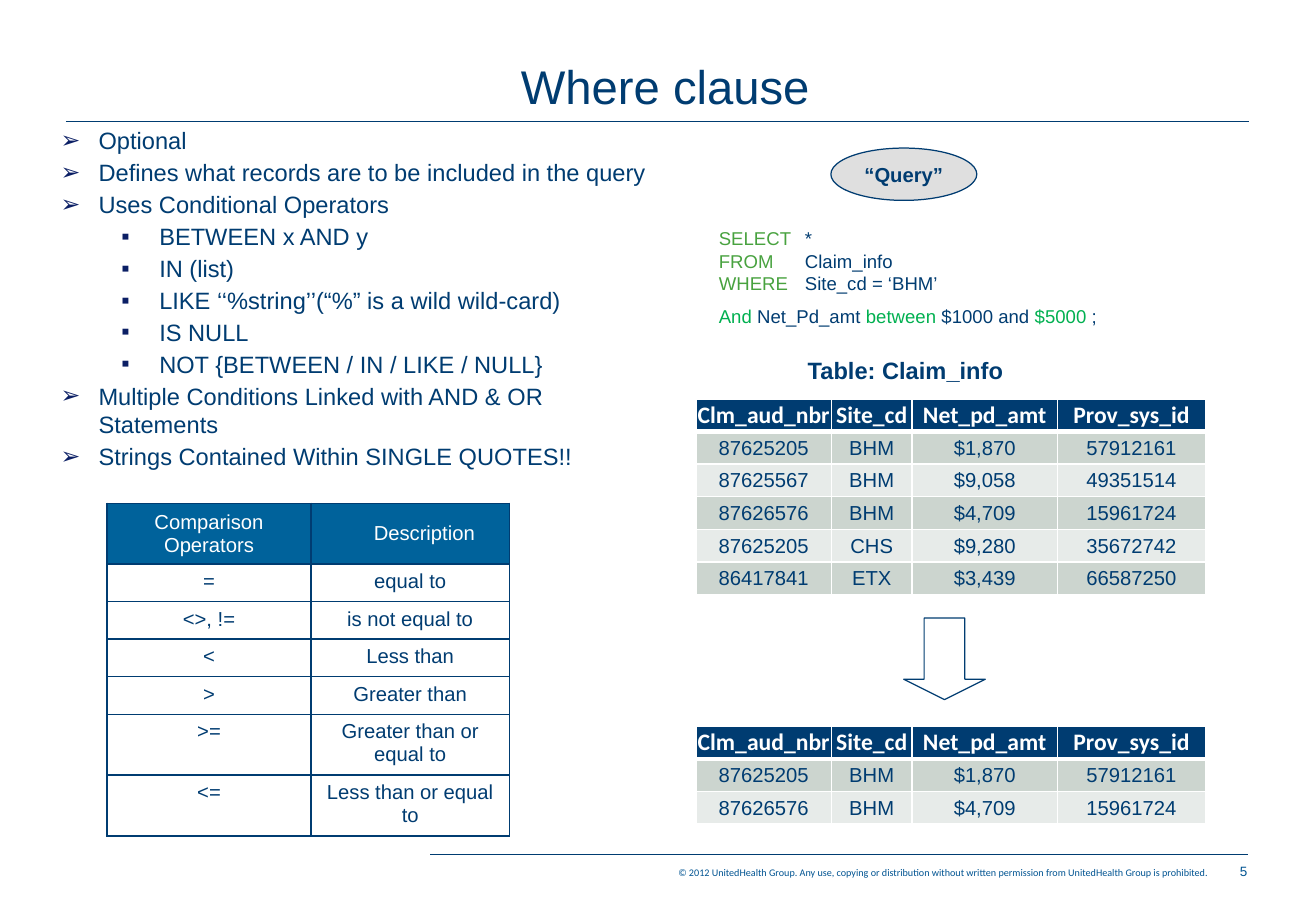
from lxml.etree import SubElement
from pptx import Presentation
from pptx.dml.color import RGBColor
from pptx.enum.shapes import MSO_CONNECTOR, MSO_SHAPE
from pptx.enum.text import MSO_ANCHOR, MSO_AUTO_SIZE, PP_ALIGN
from pptx.oxml import parse_xml
from pptx.oxml.ns import nsdecls, qn
from pptx.util import Pt

NAVY = "003C71"
BLUE = "005492"
WHITE = "FFFFFF"
GREEN = "48A23F"
BRIGHT_GREEN = "00B050"

BULLETS = [
    (0, "Optional"),
    (0, "Defines what records are to be included in the query"),
    (0, "Uses Conditional Operators"),
    (1, "BETWEEN x AND y"),
    (1, "IN (list)"),
    (1, "LIKE ‘‘%string’’(“%” is a wild wild-card)"),
    (1, "IS NULL"),
    (1, "NOT {BETWEEN / IN / LIKE / NULL}"),
    (0, "Multiple Conditions Linked with AND & OR Statements"),
    (0, "Strings Contained Within SINGLE QUOTES!!"),
]
OPERATORS = [
    ("Comparison Operators", "Description"),
    ("=", "equal to"),
    ("<>, !=", "is not equal to"),
    ("<", "Less than"),
    (">", "Greater than"),
    (">=", "Greater than or equal to"),
    ("<=", "Less than or equal to"),
]
CLAIM_HEADER = ("Clm_aud_nbr", "Site_cd", "Net_pd_amt", "Prov_sys_id")
CLAIMS = [
    ("87625205", "BHM", "$1,870", "57912161"),
    ("87625567", "BHM", "$9,058", "49351514"),
    ("87626576", "BHM", "$4,709", "15961724"),
    ("87625205", "CHS", "$9,280", "35672742"),
    ("86417841", "ETX", "$3,439", "66587250"),
]
MATCHES = [CLAIMS[0], CLAIMS[2]]
QUERY = [
    [("SELECT", GREEN), ("\t*\n", NAVY), ("FROM", GREEN), ("\tClaim_info\n", NAVY),
     ("WHERE", GREEN), ("\tSite_cd = ‘BHM’", NAVY)],
    [("And ", BRIGHT_GREEN), ("Net_Pd_amt ", NAVY), ("between ", BRIGHT_GREEN),
     ("$1000 and ", NAVY), ("$5000", BRIGHT_GREEN), (" ;", NAVY)],
]


def color(value):
    return RGBColor.from_string(value)


def points(*lengths):
    return [Pt(length) for length in lengths]


def write(paragraph, text, size=12, fill=NAVY, font="Arial", bold=False, align=PP_ALIGN.LEFT):
    paragraph.alignment = align
    run = paragraph.add_run()
    run.text = text.rstrip("\n")
    run.font.size = Pt(size)
    run.font.name = font
    run.font.bold = bold
    run.font.color.rgb = color(fill)
    if text.endswith("\n"):
        paragraph.add_line_break()


def next_paragraph(frame, index, before):
    if index == 0:
        return frame.paragraphs[0]
    paragraph = frame.add_paragraph()
    paragraph.space_before = Pt(before)
    return paragraph


def add_frame(slide, box, wrap=True, margin=None):
    frame = slide.shapes.add_textbox(*points(*box)).text_frame
    frame.word_wrap = wrap
    if margin is not None:
        frame.margin_left = frame.margin_right = Pt(margin)
        frame.margin_top = frame.margin_bottom = Pt(margin)
    return frame


def add_rule(slide, left, right, top):
    line = slide.shapes.add_connector(MSO_CONNECTOR.STRAIGHT, *points(left, top, right, top))
    line.line.color.rgb = color(NAVY)
    line.line.width = Pt(0.5)
    SubElement(line.element.spPr, qn("a:effectLst"))


def add_outlined_shape(slide, kind, box):
    shape = slide.shapes.add_shape(kind, *points(*box))
    shape.shadow.inherit = False
    shape.line.color.rgb = color(NAVY)
    shape.line.width = Pt(0.75)
    shape.fill.background()
    return shape


def format_cell(cell, fill, border, bottom=1):
    cell.fill.solid()
    cell.fill.fore_color.rgb = color(fill)
    properties = cell._tc.get_or_add_tcPr()
    for index, side in enumerate("LRTB"):
        width = Pt(bottom if side == "B" else 1)
        properties.insert(index, parse_xml(
            f'<a:ln{side} {nsdecls("a")} w="{width}"><a:solidFill>'
            f'<a:srgbClr val="{border}"/></a:solidFill></a:ln{side}>'))


def add_grid(slide, left, top, widths, heights):
    frame = slide.shapes.add_table(
        len(heights), len(widths), *points(left, top, sum(widths), sum(heights)))
    for column, width in zip(frame.table.columns, widths):
        column.width = Pt(width)
    for row, height in zip(frame.table.rows, heights):
        row.height = Pt(height)
    return frame.table


def add_heading(slide, box):
    left, top, width, height = box
    title = slide.shapes.title
    title.left, title.top, title.width, title.height = points(*box)
    frame = title.text_frame
    frame.auto_size = MSO_AUTO_SIZE.NONE
    frame.vertical_anchor = MSO_ANCHOR.BOTTOM
    write(frame.paragraphs[0], "Where clause", size=28, align=PP_ALIGN.CENTER)
    add_rule(slide, left - 1.3, left + width - 8, top + height + 0.7)


def add_bullets(slide, box):
    frame = add_frame(slide, box)
    for index, (level, text) in enumerate(BULLETS):
        paragraph = next_paragraph(frame, index, before=2.1)
        paragraph.level = level
        properties = paragraph._p.get_or_add_pPr()
        properties.set("marL", str(Pt(22.5 + 36 * level)))
        properties.set("indent", str(Pt(-22.5)))
        SubElement(SubElement(properties, qn("a:buClr")), qn("a:srgbClr"), val="0B1F65")
        SubElement(properties, qn("a:buFont"), typeface="Arial")
        SubElement(properties, qn("a:buChar"), char="➢▪"[level])
        write(paragraph, text, size=14)


def add_operator_table(slide, left, top):
    table = add_grid(slide, left, top, [121, 117.5], [36] + [22.3] * 4 + [36] * 2)
    for row, texts in enumerate(OPERATORS):
        for column, text in enumerate(texts):
            cell = table.cell(row, column)
            format_cell(cell, WHITE if row else "00629B", NAVY)
            paragraph = cell.text_frame.paragraphs[0]
            write(paragraph, text, fill=NAVY if row else WHITE, align=PP_ALIGN.CENTER)
            if row == 0:
                cell.vertical_anchor = MSO_ANCHOR.MIDDLE
    table.cell(0, 1).margin_left = Pt(24)


def add_claim_table(slide, left, top, claims):
    table = add_grid(slide, left, top, [80, 48, 86, 88], [19.35] * (len(claims) + 1))
    for row, texts in enumerate([CLAIM_HEADER] + claims):
        for column, text in enumerate(texts):
            cell = table.cell(row, column)
            cell.vertical_anchor = MSO_ANCHOR.MIDDLE
            cell.margin_left = cell.margin_right = cell.margin_top = Pt(0.5)
            cell.margin_bottom = Pt(0)
            paragraph = cell.text_frame.paragraphs[0]
            if row == 0:
                format_cell(cell, NAVY, WHITE, bottom=3)
                write(paragraph, text, size=14, fill=WHITE, font="Calibri", bold=True,
                      align=PP_ALIGN.CENTER)
            else:
                format_cell(cell, "CCD5CF" if row % 2 else "E7EBE9", WHITE)
                write(paragraph, text, align=PP_ALIGN.CENTER)


def add_query(slide, box):
    left, top, width, height = box
    ellipse = add_outlined_shape(slide, MSO_SHAPE.OVAL, (left + 73.5, top, 86.5, 31))
    ellipse.fill.solid()
    ellipse.fill.fore_color.rgb = color("C0C0C0")
    gray = ellipse.element.spPr.find(qn("a:solidFill")).find(qn("a:srgbClr"))
    SubElement(gray, qn("a:alpha"), val="50000")
    ellipse.text_frame.word_wrap = False
    ellipse.text_frame.vertical_anchor = MSO_ANCHOR.MIDDLE
    write(ellipse.text_frame.paragraphs[0], "“Query”", bold=True, align=PP_ALIGN.CENTER)
    frame = add_frame(slide, (left, top + 43.5, width, height - 43.5))
    for index, runs in enumerate(QUERY):
        paragraph = next_paragraph(frame, index, before=6.3)
        if index == 0:
            tabs = SubElement(paragraph._p.get_or_add_pPr(), qn("a:tabLst"))
            SubElement(tabs, qn("a:tab"), pos=str(Pt(51)), algn="l")
        for text, fill in runs:
            write(paragraph, text, size=11, fill=fill)


def add_result(slide, left, top):
    caption = add_frame(slide, (left + 57, top, 134, 24.5), wrap=False)
    write(caption.paragraphs[0], "Table: Claim_info", size=14, bold=True, align=PP_ALIGN.CENTER)
    add_claim_table(slide, left, top + 29, CLAIMS)
    arrow = add_outlined_shape(slide, MSO_SHAPE.DOWN_ARROW, (left + 123, top + 159, 48.3, 48.3))
    arrow.adjustments[0], arrow.adjustments[1] = 0.5, 0.25
    add_claim_table(slide, left, top + 223, MATCHES)


def add_footer(slide, box):
    left, top, width, height = box
    add_rule(slide, left, left + width, top)
    notice = add_frame(slide, (left + 3.5, top + 6.9, 457.2, 7.2), margin=0)
    write(notice.paragraphs[0], "© 2012 UnitedHealth Group. Any use, copying or distribution "
          "without written permission from UnitedHealth Group is prohibited.",
          size=6, fill=BLUE, font="Calibri", align=PP_ALIGN.RIGHT)
    number = add_frame(slide, (left + width - 18.7, top + 1.8, 31.7, height))
    write(number.paragraphs[0], "5", size=8, fill=BLUE, align=PP_ALIGN.CENTER)


def main():
    presentation = Presentation()
    presentation.slide_width, presentation.slide_height = points(780, 540)
    slide = presentation.slides.add_slide(presentation.slide_layouts[5])
    add_heading(slide, (40.3, 16.6, 707.8, 54.7))
    add_bullets(slide, (28.8, 71.3, 365.8, 208.8))
    add_operator_table(slide, 63.4, 298.3)
    add_query(slide, (419, 87.8, 242, 110.5))
    add_result(slide, 412.7, 207.4)
    add_footer(slide, (255, 506.5, 485, 17.3))
    presentation.save("out.pptx")


if __name__ == "__main__":
    main()
